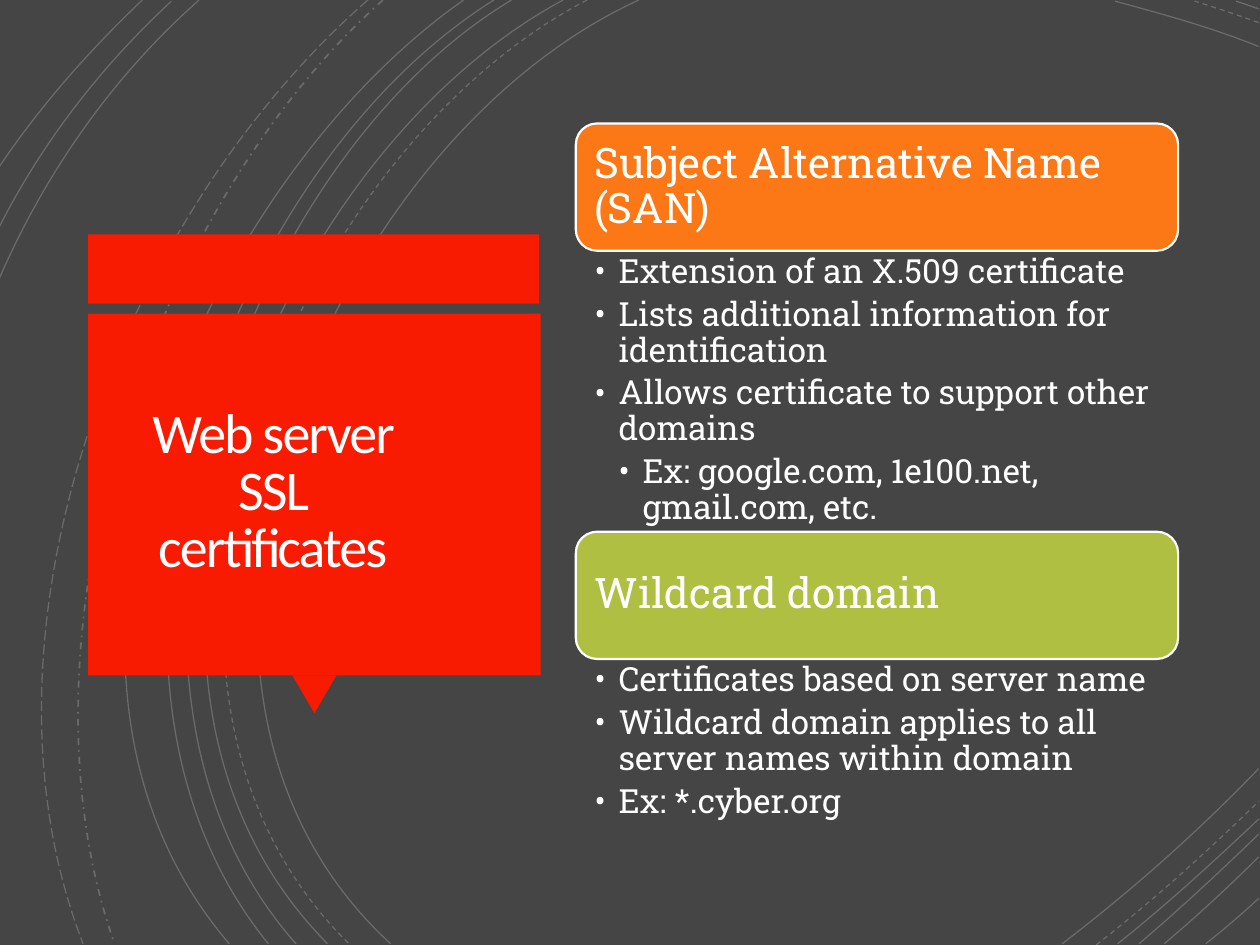
"""Builds the slide on web server SSL certificates."""
import lxml.etree
import pptx
import pptx.dml.color
import pptx.enum.dml
import pptx.enum.shapes
import pptx.enum.text
import pptx.oxml.ns
import pptx.util

Inches = pptx.util.Inches
Pt = pptx.util.Pt
qn = pptx.oxml.ns.qn
DASH = pptx.enum.dml.MSO_LINE
SHAPE = pptx.enum.shapes.MSO_SHAPE
MIDDLE = pptx.enum.text.MSO_ANCHOR.MIDDLE
ALIGN = pptx.enum.text.PP_ALIGN


def paint(color, code):
    color.rgb = pptx.dml.color.RGBColor.from_string(code)


def style(para, size, face, code, space):
    para.line_spacing = space
    para.font.size = Pt(size)
    para.font.name = face
    paint(para.font.color, code)


deck = pptx.Presentation()
deck.slide_width, deck.slide_height = Inches(10), Inches(7.5)
slide = deck.slides.add_slide(deck.slide_layouts[6])
slide.background.fill.solid()
paint(slide.background.fill.fore_color, "454545")
shapes = slide.shapes

arcs = [
    (DASH.SOLID, (5.07, 0), (2.56, 1.15), (0.83, 5.4), (3.1, 7.49)),
    (DASH.SOLID, (9.99, 0.37), (9.62, 0.22), (9.22, 0.11), (8.85, 0.01)),
    (DASH.SOLID, (8.43, 7.49), (8.98, 7.07), (9.51, 6.6), (9.99, 6.1)),
    (DASH.DASH, (4.66, 0), (2.26, 1.25), (0.63, 5.38), (2.77, 7.49)),
    (DASH.DASH, (9.99, 0.18), (9.82, 0.12), (9.65, 0.06), (9.48, 0.01)),
    (DASH.DASH, (8.7, 7.5), (9.15, 7.15), (9.58, 6.76), (9.99, 6.36)),
    (DASH.SOLID, (4.47, 0), (2.11, 1.27), (0.5, 5.37), (2.6, 7.49)),
    (DASH.SOLID, (9.99, 0.07), (9.93, 0.05), (9.87, 0.03), (9.81, 0.01)),
    (DASH.SOLID, (8.87, 7.49), (9.26, 7.18), (9.63, 6.84), (9.99, 6.5)),
    (DASH.SOLID, (4.06, 0), (1.85, 1.33), (0.5, 5.41), (2.35, 7.49)),
    (DASH.SOLID, (9.04, 7.49), (9.37, 7.21), (9.68, 6.92), (9.99, 6.62)),
    (DASH.SOLID, (3.92, 0), (1.72, 1.38), (0.38, 5.34), (2.13, 7.49)),
    (DASH.SOLID, (9.24, 7.49), (9.5, 7.27), (9.75, 7.04), (9.99, 6.8)),
    (DASH.SOLID, (3.68, 0), (1.58, 1.47), (-0.07, 5.29), (1.82, 7.49)),
    (DASH.SOLID, (9.57, 7.49), (9.71, 7.38), (9.85, 7.26), (9.99, 7.13)),
    (DASH.DASH_DOT, (3.04, 0), (1.17, 1.66), (0.06, 5.09), (0.91, 7.49)),
    (DASH.LONG_DASH, (2.92, 0), (0.98, 1.69), (-0.31, 4.99), (0.66, 7.49)),
    (DASH.SOLID, (1.58, 0), (0.88, 0.62), (0.35, 1.39), (-0.01, 2.22)),
    (DASH.SOLID, (1.36, 0.01), (0.79, 0.54), (0.33, 1.14), (-0.01, 1.81)),
    (DASH.SOLID, (1.13, 0), (0.71, 0.4), (0.32, 0.84), (-0.01, 1.33)),
]
for dash, *knots in arcs:
    first, *rest = [tuple(map(Inches, knot)) for knot in knots]
    pen = shapes.build_freeform(*first)
    pen.add_line_segments(rest, close=False)
    arc = pen.convert_to_shape()
    track = next(arc.element.iter(qn("a:path")))
    legs = track.findall(qn("a:lnTo"))
    curve = lxml.etree.SubElement(track, qn("a:cubicBezTo"))
    for leg in legs:
        curve.append(leg[0])
        track.remove(leg)
    arc.shadow.inherit = False
    arc.fill.background()
    paint(arc.line.color, "FFFFFF")
    arc.line.width = Pt(1 if dash == DASH.DASH_DOT else 0.75)
    arc.line.dash_style = dash
    tint = next(arc.element.iter(qn("a:srgbClr")))
    lxml.etree.SubElement(tint, qn("a:alpha")).set("val", "20000")

for kind, turn, *box in [
    (SHAPE.RECTANGLE, 0, 0.7, 1.86, 3.58, 0.55),
    (SHAPE.ISOSCELES_TRIANGLE, 180, 2.32, 5.36, 0.35, 0.3),
    (SHAPE.RECTANGLE, 0, 0.7, 2.49, 3.59, 2.87),
]:
    block = shapes.add_shape(kind, *map(Inches, box))
    block.rotation = turn
    block.shadow.inherit = False
    block.fill.solid()
    paint(block.fill.fore_color, "F81B02")
    block.line.fill.background()

frame = shapes.add_textbox(*map(Inches, (0.73, 2.57, 2.87, 2.69))).text_frame
frame.word_wrap = True
frame.vertical_anchor = MIDDLE
frame.margin_left = frame.margin_right = Inches(0.25)
frame.margin_top = frame.margin_bottom = Inches(0.25)
title = frame.paragraphs[0]
title.alignment = ALIGN.CENTER
run = title.add_run()
run.text = "Web server SSL certificates"
run._r.get_or_add_rPr().set("spc", "-110")
style(title, 32, "Calibri", "FFFEFF", 0.85)

topics = [
    (0.98, 2.23, "FC7715", "Subject Alternative Name (SAN)", [
        (1, "Extension of an X.509 certificate"),
        (1, "Lists additional information for identification"),
        (1, "Allows certificate to support other domains"),
        (2, "Ex: google.com, 1e100.net, gmail.com, etc."),
    ]),
    (4.22, 1.33, "AFBF41", "Wildcard domain", [
        (1, "Certificates based on server name"),
        (1, "Wildcard domain applies to all server names within domain"),
        (1, "Ex: *.cyber.org"),
    ]),
]
left, width, high = 4.57, 4.78, 1.01
for top, depth, code, head, items in topics:
    card = shapes.add_shape(SHAPE.ROUNDED_RECTANGLE,
                            *map(Inches, (left, top, width, high)))
    card.shadow.inherit = False
    card.fill.solid()
    paint(card.fill.fore_color, code)
    paint(card.line.color, "FFFFFF")
    card.line.width = Pt(1.25)
    frame = card.text_frame
    frame.word_wrap = True
    frame.vertical_anchor = MIDDLE
    frame.margin_left = frame.margin_right = Inches(0.1)
    frame.margin_top = frame.margin_bottom = Inches(0.1)
    para = frame.paragraphs[0]
    para.text = head
    para.alignment = ALIGN.LEFT
    style(para, 24, "Roboto Slab", "FFFFFF", 0.9)

    body = shapes.add_textbox(*map(Inches, (left, top + high, width, depth)))
    frame = body.text_frame
    frame.word_wrap = True
    frame.margin_left, frame.margin_right = Inches(0.15), Inches(0.19)
    frame.margin_top = frame.margin_bottom = Inches(0.03)
    for i, (level, text) in enumerate(items):
        para = frame.add_paragraph() if i else frame.paragraphs[0]
        para.text = text
        para.level = level
        para.space_after = Pt(4)
        props = para._p.get_or_add_pPr()
        props.set("marL", str(Inches(0.19 * level)))
        props.set("indent", str(Inches(-0.19)))
        lxml.etree.SubElement(props, qn("a:buFont")).set("typeface", "Roboto Slab")
        lxml.etree.SubElement(props, qn("a:buChar")).set("char", "•")
        style(para, 19, "Roboto Slab", "FFFFFF", 0.9)

deck.save("out.pptx")
